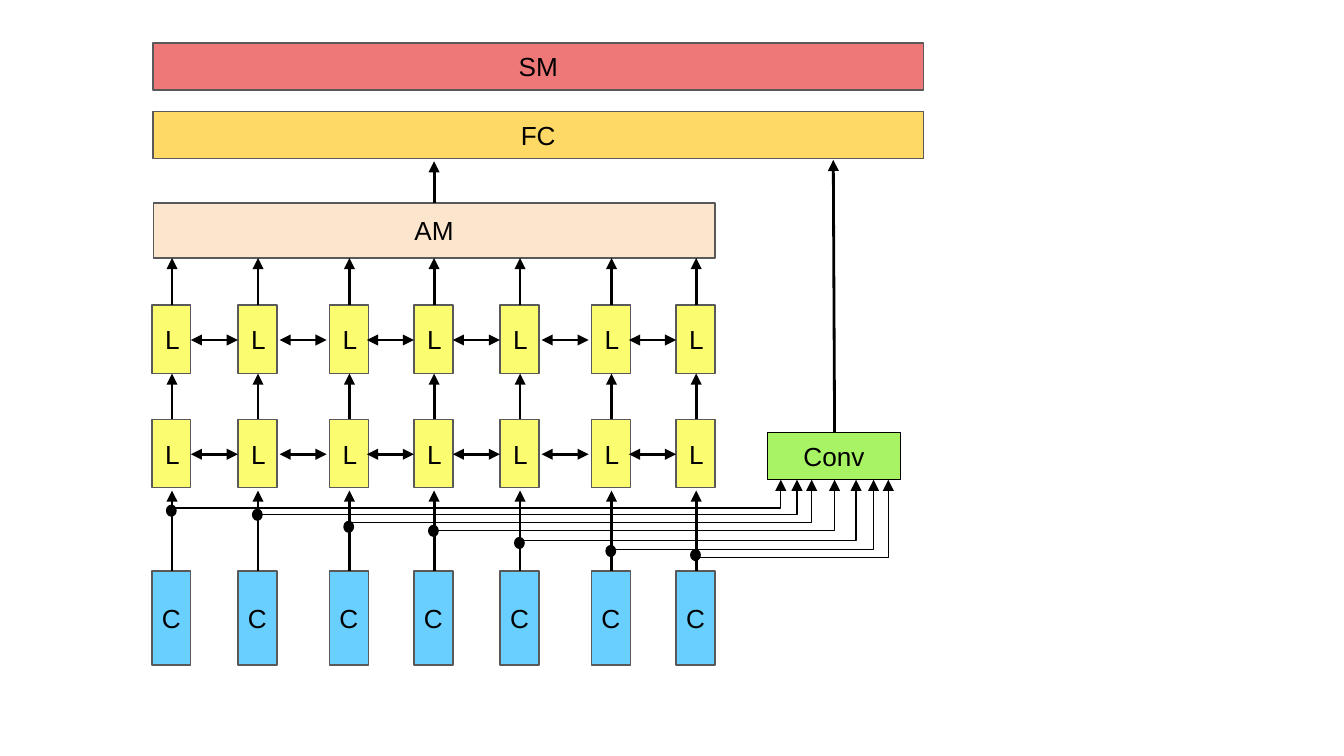
import dataclasses
import itertools

import pptx
import pptx.dml.color
import pptx.enum.shapes
import pptx.enum.text
import pptx.oxml
import pptx.oxml.ns
import pptx.slide
import pptx.util

EMU_PER_PX = 9144
CELL_WIDTH = 29
SIDE_ARROW = 35
DOT_WIDTH, DOT_HEIGHT = 7, 8
BLACK, GREY = "000000", "595959"
CENTER = pptx.enum.text.PP_ALIGN.CENTER
LEFT = pptx.enum.text.PP_ALIGN.LEFT
RECTANGLE = pptx.enum.shapes.MSO_SHAPE.RECTANGLE
OVAL = pptx.enum.shapes.MSO_SHAPE.OVAL
STRAIGHT = pptx.enum.shapes.MSO_CONNECTOR.STRAIGHT
ELBOW = pptx.enum.shapes.MSO_CONNECTOR.ELBOW


@dataclasses.dataclass(frozen=True)
class Block:
    label: str
    left: int
    top: int
    width: int
    height: int
    fill: str
    line: str = GREY
    align: pptx.enum.text.PP_ALIGN = CENTER
    inset: int = 10
    preset: pptx.enum.shapes.MSO_SHAPE = RECTANGLE


@dataclasses.dataclass(frozen=True)
class Arrow:
    start: tuple[int, int]
    end: tuple[int, int]
    weight: float = 1.5
    double: bool = False
    kind: pptx.enum.shapes.MSO_CONNECTOR = STRAIGHT


@dataclasses.dataclass(frozen=True)
class Column:
    left: int
    dot_y: int
    branch_y: int
    conv_x: int

    @property
    def center(self) -> int:
        return self.left + CELL_WIDTH // 2 + 1


COLUMNS = [
    Column(113, 380, 378, 581),
    Column(177, 383, 383, 593),
    Column(245, 392, 389, 604),
    Column(308, 395, 395, 621),
    Column(372, 404, 402, 637),
    Column(440, 410, 409, 650),
    Column(503, 413, 415, 661),
]
LAYER_TOPS = [312, 227]
UPWARD_SPANS = [(425, 365), (312, 278), (227, 192)]
BANDS = [
    Block("AM", 114, 151, 418, 41, "FCE5CD"),
    Block("FC", 114, 83, 573, 35, "FFD966"),
    Block("SM", 114, 32, 573, 35, "EE7878"),
    Block("Conv", 571, 322, 99, 35, "A7F363", BLACK),
]
OUTPUT_ARROWS = [
    Arrow((323, 151), (323, 120)),
    Arrow((621, 322), (620, 119)),
]


def px(length: int) -> pptx.util.Emu:
    return pptx.util.Emu(length * EMU_PER_PX)


def color(value: str) -> pptx.dml.color.RGBColor:
    return pptx.dml.color.RGBColor.from_string(value)


def draw_block(slide: pptx.slide.Slide, block: Block) -> None:
    shape = slide.shapes.add_shape(
        block.preset, px(block.left), px(block.top), px(block.width), px(block.height)
    )
    shape.shadow.inherit = False
    shape.fill.solid()
    shape.fill.fore_color.rgb = color(block.fill)
    shape.line.color.rgb = color(block.line)
    shape.line.width = pptx.util.Pt(0.75)
    if not block.label:
        return
    frame = shape.text_frame
    frame.word_wrap = True
    frame.vertical_anchor = pptx.enum.text.MSO_ANCHOR.MIDDLE
    frame.margin_left = frame.margin_right = px(block.inset)
    frame.margin_top = frame.margin_bottom = px(block.inset)
    paragraph = frame.paragraphs[0]
    paragraph.text = block.label
    paragraph.alignment = block.align
    paragraph.font.name = "Arial"
    paragraph.font.size = pptx.util.Pt(14)
    paragraph.font.color.rgb = color(BLACK)


def add_child(parent, tag: str, **attributes: str) -> None:
    child = pptx.oxml.parse_xml(f"<{tag} {pptx.oxml.ns.nsdecls('a')}/>")
    for name, value in attributes.items():
        child.set(name, value)
    parent.append(child)


def draw_arrow(slide: pptx.slide.Slide, arrow: Arrow) -> None:
    connector = slide.shapes.add_connector(
        arrow.kind, *(px(value) for value in arrow.start + arrow.end)
    )
    connector.line.color.rgb = color(BLACK)
    connector.line.width = pptx.util.Pt(arrow.weight)
    properties = connector._element.spPr
    outline = properties.find(pptx.oxml.ns.qn("a:ln"))
    if arrow.double:
        add_child(outline, "a:headEnd", type="triangle")
    add_child(outline, "a:tailEnd", type="triangle")
    add_child(properties, "a:effectLst")
    if arrow.kind == ELBOW:
        adjustments = properties.find(".//" + pptx.oxml.ns.qn("a:avLst"))
        add_child(adjustments, "a:gd", name="adj1", fmla="val 100000")


def draw_column(slide: pptx.slide.Slide, column: Column) -> None:
    for top in LAYER_TOPS:
        draw_block(
            slide, Block("L", column.left, top, CELL_WIDTH, 51, "FCFC71", align=LEFT)
        )
    draw_block(slide, Block("C", column.left, 425, CELL_WIDTH, 70, "69CFFF", inset=0))
    for bottom, top in UPWARD_SPANS:
        draw_arrow(slide, Arrow((column.center, bottom), (column.center, top)))
    branch_start = (column.center, column.branch_y)
    draw_arrow(slide, Arrow(branch_start, (column.conv_x, 357), 0.75, kind=ELBOW))
    draw_block(
        slide,
        Block(
            "",
            column.center - DOT_WIDTH // 2 - 1,
            column.dot_y - DOT_HEIGHT // 2,
            DOT_WIDTH,
            DOT_HEIGHT,
            BLACK,
            BLACK,
            preset=OVAL,
        ),
    )


def draw_side_arrows(slide: pptx.slide.Slide) -> None:
    for top, (column, following) in itertools.product(
        LAYER_TOPS, itertools.pairwise(COLUMNS)
    ):
        start = (column.left + CELL_WIDTH + following.left - SIDE_ARROW) // 2
        middle = top + 26
        draw_arrow(
            slide, Arrow((start, middle), (start + SIDE_ARROW, middle), double=True)
        )


def main() -> None:
    presentation = pptx.Presentation()
    presentation.slide_width = px(1000)
    presentation.slide_height = px(1000) * 9 // 16
    slide = presentation.slides.add_slide(presentation.slide_layouts[6])
    for band in BANDS:
        draw_block(slide, band)
    for column in COLUMNS:
        draw_column(slide, column)
    draw_side_arrows(slide)
    for arrow in OUTPUT_ARROWS:
        draw_arrow(slide, arrow)
    presentation.save("out.pptx")


if __name__ == "__main__":
    main()
